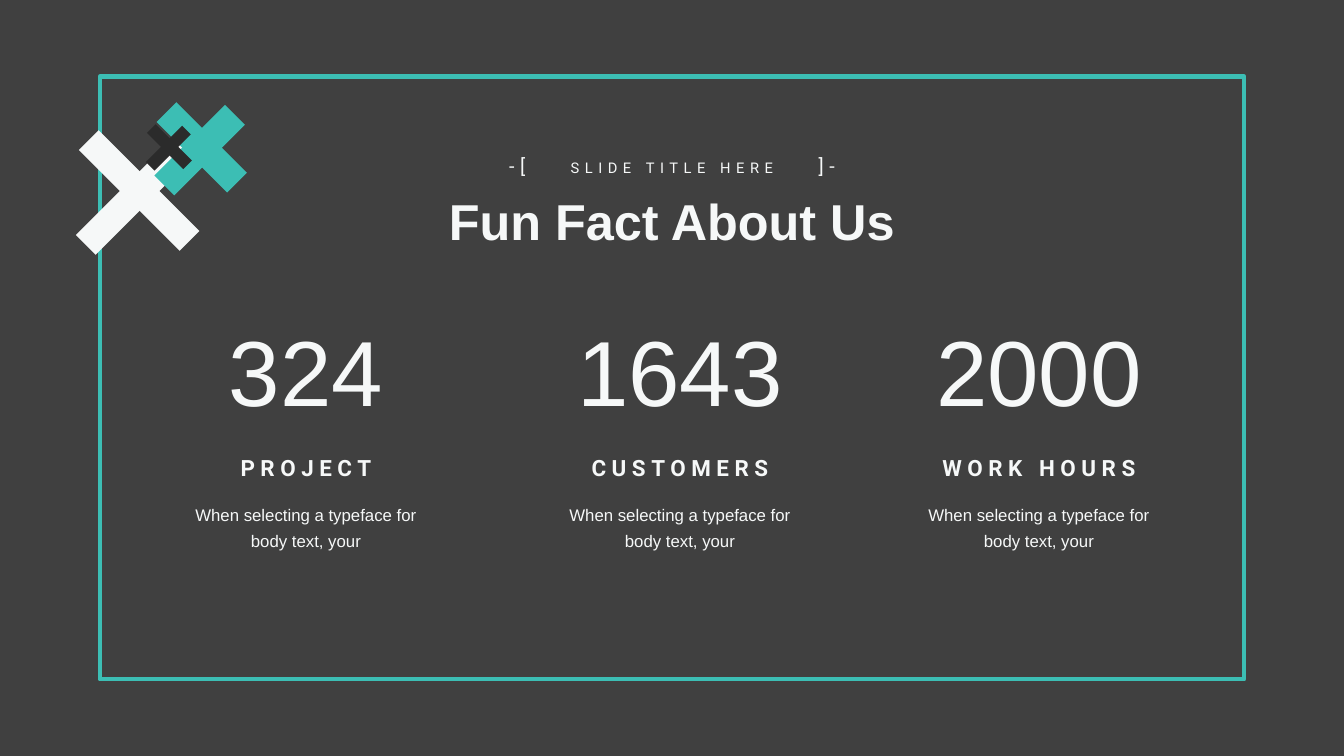
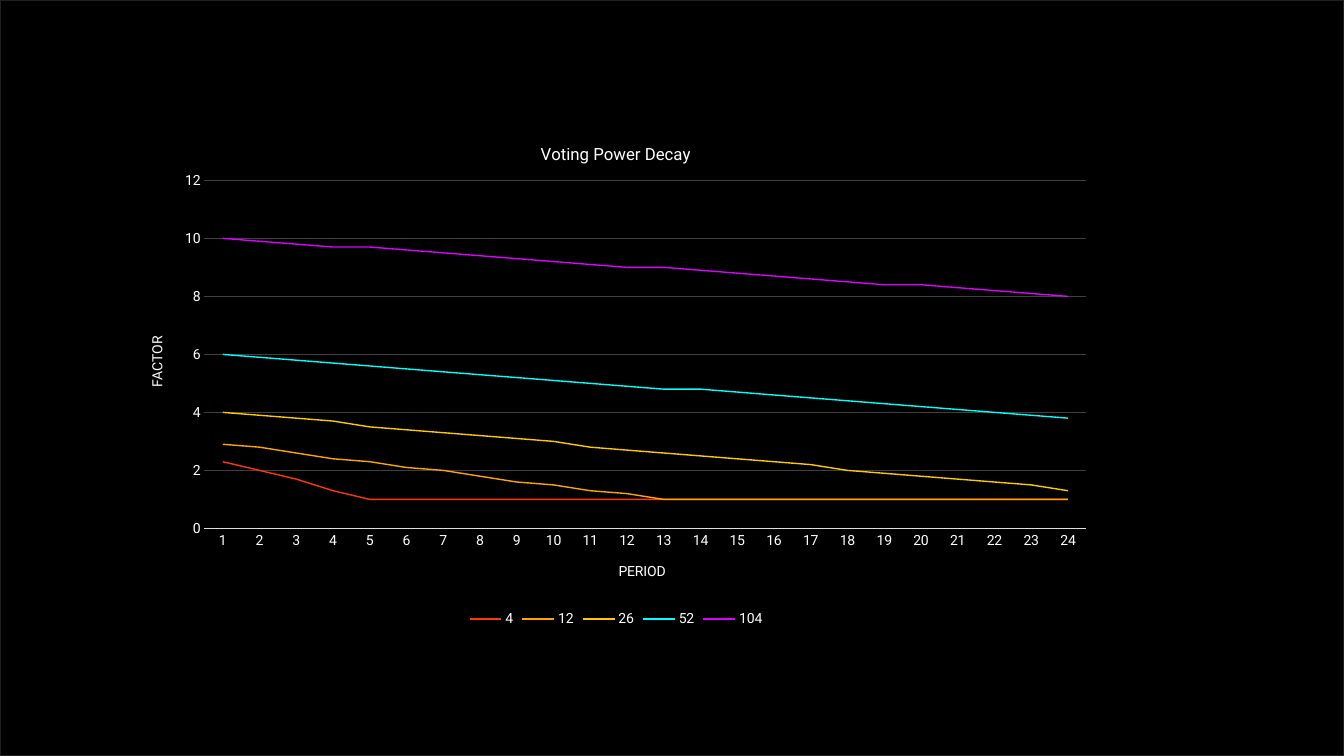
import dataclasses

import lxml.etree
import pptx
import pptx.chart.data
import pptx.dml.color
import pptx.enum.chart
import pptx.enum.shapes
import pptx.enum.text
import pptx.oxml.ns
import pptx.util

Inches = pptx.util.Inches
Pt = pptx.util.Pt
qn = pptx.oxml.ns.qn
NO_TICKS = pptx.enum.chart.XL_TICK_MARK.NONE


@dataclasses.dataclass(frozen=True)
class Theme:
    """Hold the colours, fonts and type sizes of the deck."""

    charcoal: str = "404040"
    ink: str = "2B2B2B"
    light: str = "F6F8F8"
    teal: str = "3CBEB4"
    black: str = "000000"
    edge: str = "202020"
    white: str = "FFFFFF"
    axis: str = "DFDFDF"
    heading_font: str = "Arial"
    label_font: str = "Roboto"
    title_size: float = 36
    number_size: float = 66
    label_size: float = 16
    bracket_size: float = 14
    body_size: float = 12
    kicker_size: float = 10.5
    axis_size: float = 10
    tracking: int = 400


THEME = Theme()
TITLE_ONLY, BLANK = 5, 6

KICKER = [
    ("-[", 4.9, 1.48, 0.46, 0.34, THEME.bracket_size),
    ("SLIDE TITLE HERE", 5.52, 1.53, 2.29, 0.29, THEME.kicker_size),
    ("]-", 7.97, 1.48, 0.46, 0.34, THEME.bracket_size),
]
FACTS = [
    (1.75, "324", "PROJECT"),
    (5.46, "1643", "CUSTOMERS"),
    (9.02, "2000", "WORK HOURS"),
]
FACT_BODY = "When selecting a typeface for body text, your"
CROSSES = [
    (1.35, 1.93, 0.5, THEME.light, 20),
    (1.98, 1.49, 0.35, THEME.teal, 20),
    (1.67, 1.47, 0.18, THEME.ink, 8.75),
]
DECAY_SERIES = [
    ("4", "FF3800", [2.3, 2, 1.7, 1.3] + [1] * 20),
    ("12", "FFA500", [2.9, 2.8, 2.6, 2.4, 2.3, 2.1, 2, 1.8, 1.6, 1.5, 1.3, 1.2] + [1] * 12),
    ("26", "FFC900", [4, 3.9, 3.8, 3.7, 3.5, 3.4, 3.3, 3.2, 3.1, 3, 2.8, 2.7,
                      2.6, 2.5, 2.4, 2.3, 2.2, 2, 1.9, 1.8, 1.7, 1.6, 1.5, 1.3]),
    ("52", "00FFFF", [6, 5.9, 5.8, 5.7, 5.6, 5.5, 5.4, 5.3, 5.2, 5.1, 5, 4.9,
                      4.8, 4.8, 4.7, 4.6, 4.5, 4.4, 4.3, 4.2, 4.1, 4, 3.9, 3.8]),
    ("104", "DB00FF", [10, 9.9, 9.8, 9.7, 9.7, 9.6, 9.5, 9.4, 9.3, 9.2, 9.1, 9,
                       9, 8.9, 8.8, 8.7, 8.6, 8.5, 8.4, 8.4, 8.3, 8.2, 8.1, 8]),
]


def rgb(value):
    """Turn a hexadecimal string into a colour."""
    return pptx.dml.color.RGBColor.from_string(value)


def set_values(target, values):
    """Set every attribute named in a dict of format values."""
    for name, value in values.items():
        setattr(target, name, value)


def style_font(font, name, size, color, bold=False):
    """Give a font its face, size, colour and weight."""
    set_values(font, {"name": name, "size": Pt(size), "bold": bold})
    font.color.rgb = rgb(color)


def style_line(line, color, width):
    """Give a line its colour and width."""
    line.color.rgb = rgb(color)
    line.width = Pt(width)


def add_slide(presentation, layout, background):
    """Add a slide with a plain background."""
    slide = presentation.slides.add_slide(presentation.slide_layouts[layout])
    slide.background.fill.solid()
    slide.background.fill.fore_color.rgb = rgb(background)
    return slide


def fill_text(shape, text, font, size, bold=False, tracking=None, spacing=None, wrap=True):
    """Write one centred light paragraph into a shape."""
    set_values(shape.text_frame, {
        "word_wrap": wrap,
        "auto_size": pptx.enum.text.MSO_AUTO_SIZE.NONE,
        "vertical_anchor": pptx.enum.text.MSO_ANCHOR.TOP,
    })
    paragraph = shape.text_frame.paragraphs[0]
    set_values(paragraph, {"alignment": pptx.enum.text.PP_ALIGN.CENTER, "line_spacing": spacing})
    run = paragraph.add_run()
    run.text = text
    style_font(run.font, font, size, THEME.light, bold)
    if tracking:
        run._r.get_or_add_rPr().set("spc", str(tracking))


def add_text(slide, box, text, font, size, **options):
    """Add a text box at left, top, width and height in inches."""
    shape = slide.shapes.add_textbox(*map(Inches, box))
    fill_text(shape, text, font, size, **options)


def add_title(slide, text):
    """Place and format the title placeholder."""
    title = slide.shapes.title
    box = {"left": 3.31, "top": 1.84, "width": 6.71, "height": 0.71}
    set_values(title, {name: Inches(value) for name, value in box.items()})
    fill_text(title, text, THEME.heading_font, THEME.title_size, bold=True)


def add_rectangle(slide, box, color, width, fill=None):
    """Add an outlined rectangle with an optional fill."""
    shape = slide.shapes.add_shape(pptx.enum.shapes.MSO_SHAPE.RECTANGLE, *map(Inches, box))
    shape.shadow.inherit = False
    if fill:
        shape.fill.solid()
        shape.fill.fore_color.rgb = rgb(fill)
    else:
        shape.fill.background()
    style_line(shape.line, color, width)


def add_stroke(slide, start, end, color, width):
    """Add a straight line without a shadow."""
    connector = slide.shapes.add_connector(
        pptx.enum.shapes.MSO_CONNECTOR.STRAIGHT, *map(Inches, start + end))
    style_line(connector.line, color, width)
    lxml.etree.SubElement(connector._element.spPr, qn("a:effectLst"))


def add_cross(slide, x, y, half, color, width):
    """Draw two diagonal strokes, the falling one slightly up and right."""
    add_stroke(slide, (x + half, y - half), (x - half, y + half), color, width)
    x, y = x + 0.06 * half, y - 0.08 * half
    add_stroke(slide, (x + half, y + half), (x - half, y - half), color, width)


def add_fact(slide, left, number, label):
    """Add one column with a number, a label and a sentence."""
    width = 2.57
    add_text(slide, (left, 3.07, width, 1.21), number, THEME.heading_font, THEME.number_size,
             wrap=False)
    add_text(slide, (left, 4.49, width, 0.41), label, THEME.label_font, THEME.label_size,
             bold=True, tracking=THEME.tracking, spacing=0.9)
    add_text(slide, (left, 4.9, width, 0.63), FACT_BODY, THEME.heading_font, THEME.body_size,
             spacing=1.3)


def set_layout(element, index, **fractions):
    """Place a chart part by fractions of the chart area."""
    for old in element.findall(qn("c:layout")):
        element.remove(old)
    layout = lxml.etree.Element(qn("c:layout"))
    manual = lxml.etree.SubElement(layout, qn("c:manualLayout"))
    settings = {"xMode": "edge", "yMode": "edge", **fractions}
    if "w" in fractions:
        settings = {"layoutTarget": "inner", **settings}
    for name, value in settings.items():
        lxml.etree.SubElement(manual, qn("c:" + name)).set("val", str(value))
    element.insert(index, layout)


def add_chart_text(title, text, size, x, y, rotation=0):
    """Write and place a chart or axis title."""
    title.text_frame.text = text
    run = title.text_frame.paragraphs[0].runs[0]
    style_font(run.font, THEME.label_font, size, THEME.white)
    title.text_frame._txBody.bodyPr.set("rot", str(rotation * 60000))
    set_layout(title._element, 1, x=x, y=y)


def add_decay_chart(slide):
    """Add the line chart of voting power by period."""
    data = pptx.chart.data.CategoryChartData()
    data.categories = [str(period) for period in range(1, 25)]
    for name, _, values in DECAY_SERIES:
        data.add_series(name, values)
    chart = slide.shapes.add_chart(
        pptx.enum.chart.XL_CHART_TYPE.LINE, *map(Inches, (1.25, 1.18, 9.72, 5.08)), data).chart
    style_font(chart.font, THEME.label_font, THEME.axis_size, THEME.white)
    chart.plots[0].vary_by_categories = False
    for series, (_, color, _) in zip(chart.plots[0].series, DECAY_SERIES):
        series.smooth = False
        style_line(series.format.line, color, 1)

    chart.has_legend = True
    set_values(chart.legend, {
        "position": pptx.enum.chart.XL_LEGEND_POSITION.BOTTOM,
        "include_in_layout": False,
    })
    style_font(chart.legend.font, THEME.label_font, THEME.axis_size, THEME.white)

    ticks = {"major_tick_mark": NO_TICKS, "minor_tick_mark": NO_TICKS}
    periods, factors = chart.category_axis, chart.value_axis
    set_values(periods, ticks)
    set_values(factors, {**ticks, "minimum_scale": 0, "maximum_scale": 12, "major_unit": 2,
                         "has_major_gridlines": True})
    style_line(periods.format.line, THEME.axis, 0.75)
    factors.format.line.fill.background()
    style_line(factors.major_gridlines.format.line, THEME.charcoal, 0.75)

    chart.has_title = True
    add_chart_text(chart.chart_title, "Voting Power Decay", THEME.body_size, 0.42, 0.04)
    add_chart_text(periods.axis_title, "PERIOD", THEME.axis_size, 0.5, 0.86)
    add_chart_text(factors.axis_title, "FACTOR", THEME.axis_size, 0.02, 0.42, rotation=-90)
    plot_area = chart._chartSpace.find(qn("c:chart")).find(qn("c:plotArea"))
    set_layout(plot_area, 0, x=0.08, y=0.12, w=0.9, h=0.68)


def build_facts_slide(presentation):
    """Build the slide with three key figures."""
    slide = add_slide(presentation, TITLE_ONLY, THEME.charcoal)
    add_title(slide, "Fun Fact About Us")
    for text, left, top, width, height, size in KICKER:
        add_text(slide, (left, top, width, height), text, THEME.label_font, size,
                 tracking=THEME.tracking, wrap=False)
    add_rectangle(slide, (0.99, 0.76, 11.35, 5.98), THEME.teal, 3)
    for fact in FACTS:
        add_fact(slide, *fact)
    for cross in CROSSES:
        add_cross(slide, *cross)


def build_decay_slide(presentation):
    """Build the slide with the voting power chart."""
    slide = add_slide(presentation, BLANK, THEME.black)
    add_rectangle(slide, (0, 0, 13.33, 7.5), THEME.edge, 1, fill=THEME.black)
    add_decay_chart(slide)


def main():
    """Build and save the presentation."""
    presentation = pptx.Presentation()
    set_values(presentation, {"slide_width": Inches(13.33), "slide_height": Inches(7.5)})
    build_facts_slide(presentation)
    build_decay_slide(presentation)
    presentation.save("out.pptx")


if __name__ == "__main__":
    main()
